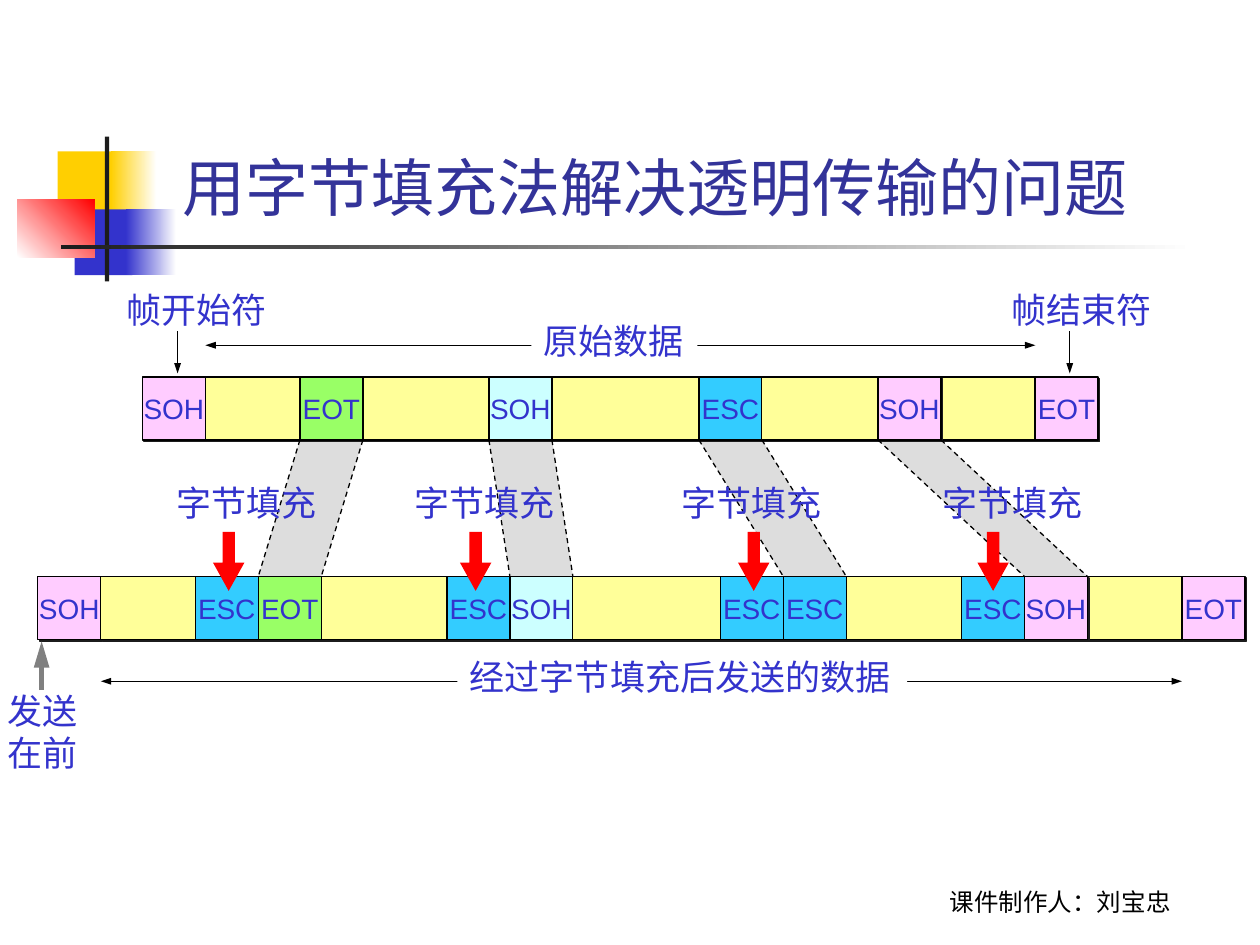
from lxml.etree import SubElement
from pptx import Presentation
from pptx.dml.color import RGBColor
from pptx.enum.dml import MSO_LINE
from pptx.enum.shapes import MSO_CONNECTOR, MSO_SHAPE
from pptx.enum.text import MSO_ANCHOR, MSO_AUTO_SIZE, PP_ALIGN
from pptx.oxml.ns import qn
from pptx.util import Pt

BLACK = RGBColor(0x00, 0x00, 0x00)
WHITE = RGBColor(0xFF, 0xFF, 0xFF)
INK = RGBColor(0x1C, 0x1C, 0x1C)
GRAY = RGBColor(0x80, 0x80, 0x80)
PALE = RGBColor(0xDD, 0xDD, 0xDD)
NAVY = RGBColor(0x33, 0x33, 0x99)
BLUE = RGBColor(0x33, 0x33, 0xCC)
GOLD = RGBColor(0xFF, 0xCF, 0x01)
RED = RGBColor(0xFF, 0x00, 0x00)
PINK = RGBColor(0xFF, 0xCC, 0xFF)
YELLOW = RGBColor(0xFF, 0xFF, 0x99)
GREEN = RGBColor(0x99, 0xFF, 0x66)
CYAN = RGBColor(0xCC, 0xFF, 0xFF)
SKY = RGBColor(0x33, 0xCC, 0xFF)

CELL = 36
TOP = 215.4
LOW = 329.4
BASE = TOP + CELL

STUFFED = [
    ("EOT", GREEN, 171.4, 147.6, 93.6, 121.7),
    ("SOH", CYAN, 279.4, 291.4, 229.7, 262.8),
    ("ESC", SKY, 399.4, 447.6, 382.5, 421.7),
    ("SOH", PINK, 501.7, 585.4, 531.2, 558.5),
]


def style(frame, size, color, align, font="Arial"):
    for para in frame.paragraphs:
        para.alignment = align
        for run in para.runs:
            run.font.size = Pt(size)
            run.font.name = font
            run.font.color.rgb = color


def block(slide, box, fill, fade=None, angle=0, kind=MSO_SHAPE.RECTANGLE):
    shape = slide.shapes.add_shape(kind, *map(Pt, box))
    shape.shadow.inherit = False
    shape.line.fill.background()
    if fade is None:
        shape.fill.solid()
        shape.fill.fore_color.rgb = fill
    else:
        shape.fill.gradient()
        shape.fill.gradient_angle = angle
        for stop, color in zip(shape.fill.gradient_stops, (fill, fade)):
            stop.color.rgb = color
    return shape


def drop(shape):
    effects = shape._element.spPr.find(qn("a:effectLst"))
    shade = SubElement(effects, qn("a:outerShdw"), dist=str(Pt(1.4)),
                       dir="2700000", algn="ctr", rotWithShape="0")
    SubElement(shade, qn("a:srgbClr"), val=str(INK))


def cell(slide, left, top, fill, text="", width=CELL):
    shape = block(slide, (left, top, width, CELL), fill)
    shape.line.color.rgb = BLACK
    shape.line.width = Pt(0.75)
    if fill in (PINK, YELLOW):
        drop(shape)
    if text:
        frame = shape.text_frame
        frame.word_wrap = False
        frame.vertical_anchor = MSO_ANCHOR.MIDDLE
        frame.text = text
        style(frame, 16, BLUE, PP_ALIGN.CENTER)


def frame_row(slide, left, right, top):
    cell(slide, left, top, PINK, "SOH")
    cell(slide, left + CELL, top, YELLOW, width=right - left - CELL)
    cell(slide, right, top, PINK, "EOT")


def rule(slide, start, end, ends=(), color=BLACK, width=0.75, dash=False,
         head=("sm", "med")):
    line = slide.shapes.add_connector(MSO_CONNECTOR.STRAIGHT,
                                      *map(Pt, start + end))
    line.line.color.rgb = color
    line.line.width = Pt(width)
    if dash:
        line.line.dash_style = MSO_LINE.DASH
    props = line._element.spPr
    for name in ends:
        SubElement(props.find(qn("a:ln")), qn(name), type="triangle",
                   w=head[0], len=head[1])
    SubElement(props, qn("a:effectLst"))


def band(slide, upper, lower):
    points = [(upper + CELL, BASE), (lower + CELL, LOW), (lower, LOW)]
    build = slide.shapes.build_freeform(Pt(upper), Pt(BASE))
    build.add_line_segments([(Pt(x), Pt(y)) for x, y in points])
    shape = build.convert_to_shape()
    shape.shadow.inherit = False
    shape.fill.solid()
    shape.fill.fore_color.rgb = PALE
    shape.line.fill.background()


def label(slide, text, left, top, width=95, height=31.5, fill=None):
    box = slide.shapes.add_textbox(*map(Pt, (left, top, width, height)))
    if fill is not None:
        box.fill.solid()
        box.fill.fore_color.rgb = fill
    frame = box.text_frame
    frame.word_wrap = False
    frame.auto_size = MSO_AUTO_SIZE.SHAPE_TO_FIT_TEXT
    frame.text = text
    style(frame, 20, BLUE, PP_ALIGN.LEFT)


def decor(slide):
    block(slide, (33, 86.5, 34.5, 37.5), GOLD)
    block(slide, (63.4, 86.5, 26, 37.5), GOLD, WHITE)
    block(slide, (42.7, 119.7, 33, 37.5), BLUE)
    block(slide, (72, 119.7, 28.8, 37.5), BLUE, WHITE)
    block(slide, (10, 113.8, 44, 33.2), WHITE, RED, 45)
    block(slide, (59.9, 78, 2.5, 82.8), INK)
    block(slide, (34.8, 140.1, 648, 2.5), INK, WHITE)


def heading(slide):
    title = slide.shapes.title
    title.left, title.top, title.width, title.height = map(
        Pt, (90.7, 16.5, 575.3, 115.2))
    frame = title.text_frame
    frame.auto_size = MSO_AUTO_SIZE.NONE
    frame.vertical_anchor = MSO_ANCHOR.BOTTOM
    frame.text = "用字节填充法解决透明传输的问题 "
    style(frame, 36, NAVY, PP_ALIGN.CENTER)


def footer(slide):
    box = slide.shapes.add_textbox(*map(Pt, (491.8, 491, 228.2, 36)))
    frame = box.text_frame
    frame.word_wrap = True
    frame.vertical_anchor = MSO_ANCHOR.BOTTOM
    frame.text = "课件制作人：刘宝忠"
    style(frame, 14, BLACK, PP_ALIGN.CENTER, "Roboto")


def stuffing(slide):
    for text, fill, upper, lower, *rest in STUFFED:
        band(slide, upper, lower)
    frame_row(slide, 81.4, 591.5, TOP)
    frame_row(slide, 21.6, 675.4, LOW)
    for text, fill, upper, lower, note, arrow in STUFFED:
        cell(slide, upper, TOP, fill, text)
        cell(slide, lower - CELL, LOW, SKY, "ESC")
        cell(slide, lower, LOW, fill, text)
        for side in (0, CELL):
            rule(slide, (upper + side, BASE), (lower + side, LOW), dash=True)
        label(slide, "字节填充", note, 271.4)
        shape = block(slide, (arrow, 303.9, 18, 33.8), RED,
                      kind=MSO_SHAPE.DOWN_ARROW)
        shape.adjustments[0] = 0.39
        shape.adjustments[1] = 0.9


def notes(slide):
    both = ("a:headEnd", "a:tailEnd")
    tail = ("a:tailEnd",)
    rule(slide, (117.4, 197.3), (591.6, 197.3), both)
    label(slide, "原始数据", 303.6, 179.3, fill=WHITE)
    rule(slide, (57.6, 389.3), (675.4, 389.3), both)
    label(slide, "经过字节填充后发送的数据", 261.4, 371, 257, fill=WHITE)
    rule(slide, (23.8, 394.3), (23.8, 366.5), tail, GRAY, 3,
         head=("med", "lg"))
    label(slide, "发送\n在前", -3, 390.4, 57, 55.5)
    for text, left, mid in (("帧开始符", 65.2, 101.5), ("帧结束符", 571, 611.3)):
        rule(slide, (mid, 189.4), (mid, 213.4), tail)
        label(slide, text, left, 161.3)


def main():
    deck = Presentation()
    deck.slide_width, deck.slide_height = Pt(720), Pt(540)
    slide = deck.slides.add_slide(deck.slide_layouts[5])
    decor(slide)
    heading(slide)
    footer(slide)
    stuffing(slide)
    notes(slide)
    deck.save("out.pptx")


if __name__ == "__main__":
    main()
